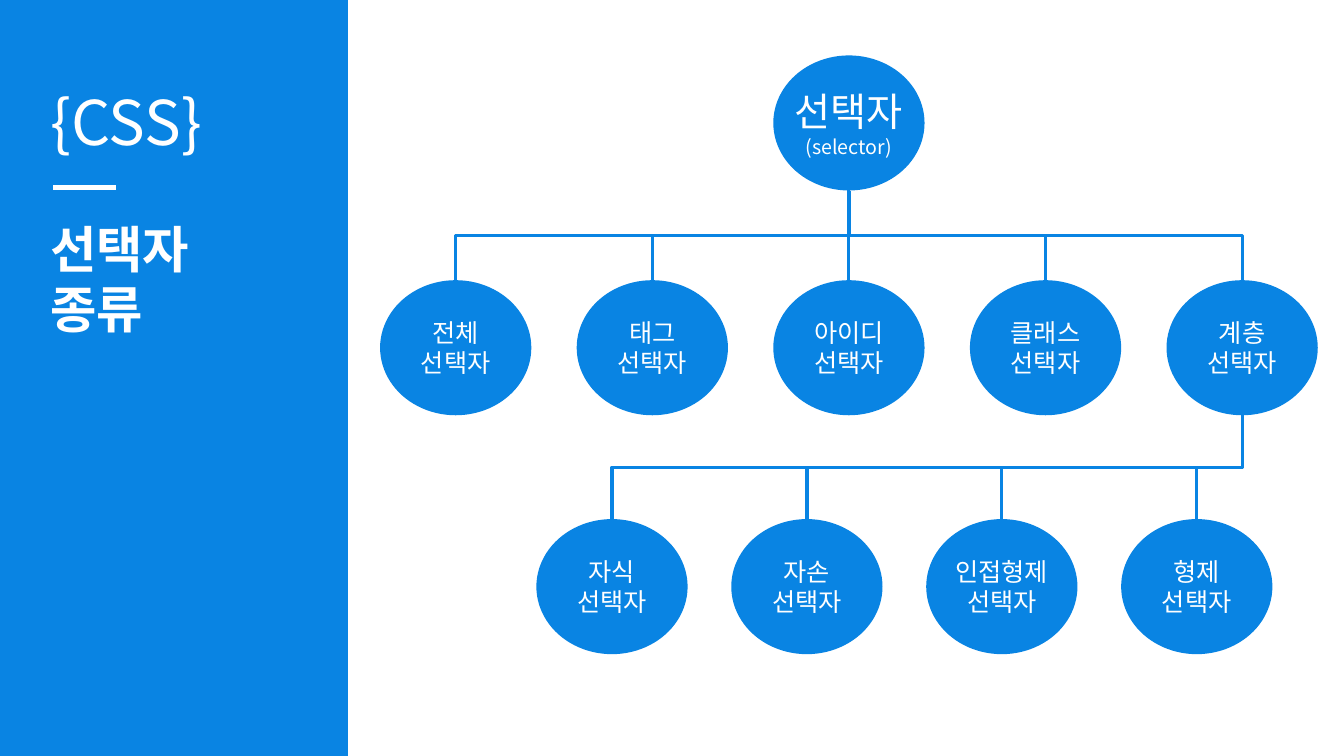
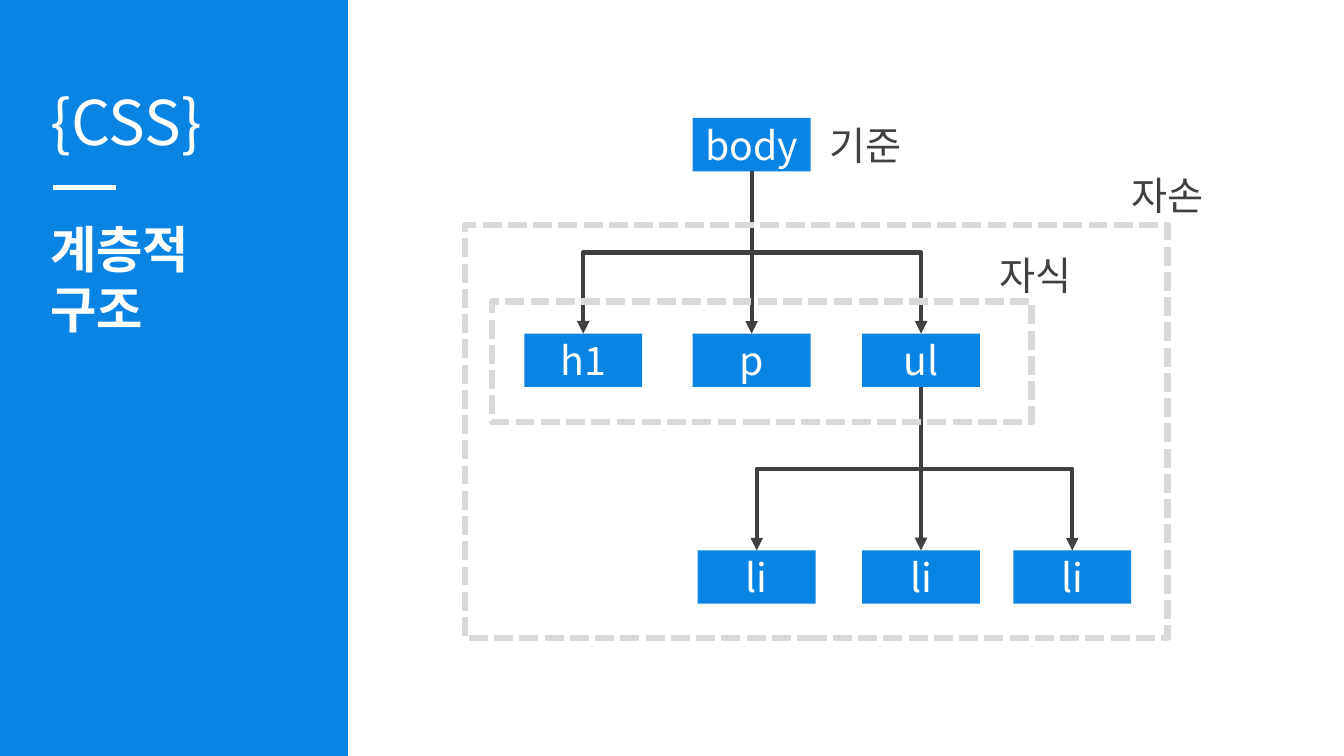
"""Builds two slides on CSS selectors: the kinds of selector and the element hierarchy."""

from dataclasses import dataclass

from lxml import etree
from pptx import Presentation
from pptx.dml.color import RGBColor
from pptx.enum.dml import MSO_LINE
from pptx.enum.shapes import MSO_CONNECTOR, MSO_SHAPE
from pptx.enum.text import MSO_ANCHOR, PP_ALIGN
from pptx.oxml.ns import qn
from pptx.presentation import Presentation as Deck
from pptx.shapes.autoshape import Shape
from pptx.shapes.connector import Connector
from pptx.slide import Slide
from pptx.util import Inches, Pt

RECTANGLE, OVAL = MSO_SHAPE.RECTANGLE, MSO_SHAPE.OVAL
STRAIGHT, ELBOW = MSO_CONNECTOR.STRAIGHT, MSO_CONNECTOR.ELBOW
LEFT, CENTER = PP_ALIGN.LEFT, PP_ALIGN.CENTER
TOP, MIDDLE = MSO_ANCHOR.TOP, MSO_ANCHOR.MIDDLE
DASHED = MSO_LINE.SQUARE_DOT
QUARTER_TURN = 90 * 60000


@dataclass(frozen=True)
class Theme:
    font: str = "Noto Sans CJK KR"
    blue: RGBColor = RGBColor(0x09, 0x84, 0xE3)
    white: RGBColor = RGBColor(0xFF, 0xFF, 0xFF)
    dark: RGBColor = RGBColor(0x40, 0x40, 0x40)
    gray: RGBColor = RGBColor(0xD9, 0xD9, 0xD9)
    brand_size: float = 44
    title_size: float = 36
    large_size: float = 28
    circle_size: float = 18
    small_size: float = 14
    branch_width: float = 2.25
    line_width: float = 3
    frame_width: float = 4.5


@dataclass(frozen=True)
class Area:
    left: float
    top: float
    width: float
    height: float

    @property
    def center(self) -> float:
        return self.left + self.width / 2

    @property
    def bottom(self) -> float:
        return self.top + self.height


@dataclass(frozen=True)
class Line:
    text: str
    size: float
    color: RGBColor
    bold: bool = False


@dataclass(frozen=True)
class Stroke:
    color: RGBColor
    width: float
    arrow: bool = False


THEME = Theme()
BRANCH = Stroke(THEME.blue, THEME.branch_width)
ARROW = Stroke(THEME.dark, THEME.line_width, arrow=True)
RULE = Stroke(THEME.white, THEME.line_width)

CIRCLE_WIDTH, CIRCLE_HEIGHT = 1.5, 1.34
TAG_WIDTH, TAG_HEIGHT = 1.17, 0.53
LABEL_WIDTH, LABEL_HEIGHT = 1.08, 0.57

SELECTORS = ("전체", "태그", "아이디", "클래스", "계층")
HIERARCHY_SELECTORS = ("자식", "자손", "인접형제", "형제")
CHILD_TAGS = (("h1", 5.2), ("p", 6.87), ("ul", 8.55))
ITEM_LEFTS = (6.92, 8.55, 10.05)
FRAMES = (Area(4.88, 2.99, 5.35, 1.2), Area(4.61, 2.23, 6.97, 4.1))
LABELS = (("자식", 9.73, 2.44), ("자손", 11.04, 1.65), ("기준", 8.04, 1.15))


def spread(first: float, last: float, count: int) -> list[float]:
    return [first + (last - first) * index / (count - 1) for index in range(count)]


def write_lines(box: Shape, lines: list[Line], align: PP_ALIGN, anchor: MSO_ANCHOR, wrap: bool) -> None:
    frame = box.text_frame
    frame.word_wrap = wrap
    frame.vertical_anchor = anchor
    for index, line in enumerate(lines):
        paragraph = frame.add_paragraph() if index else frame.paragraphs[0]
        paragraph.text = line.text
        paragraph.alignment = align
        font = paragraph.font
        font.name = THEME.font
        font.size = Pt(line.size)
        font.bold = line.bold
        font.color.rgb = line.color
        east_asian = etree.SubElement(font._element, qn("a:ea"))
        east_asian.set("typeface", THEME.font)


def add_block(page: Slide, preset: MSO_SHAPE, area: Area) -> Shape:
    block = page.shapes.add_shape(
        preset, Inches(area.left), Inches(area.top), Inches(area.width), Inches(area.height)
    )
    block.shadow.inherit = False
    block.fill.solid()
    block.fill.fore_color.rgb = THEME.blue
    block.line.fill.background()
    return block


def add_text(page: Slide, area: Area, lines: list[Line], align: PP_ALIGN = LEFT) -> None:
    box = page.shapes.add_textbox(
        Inches(area.left), Inches(area.top), Inches(area.width), Inches(area.height)
    )
    write_lines(box, lines, align, TOP, wrap=True)


def add_circle(page: Slide, left: float, top: float, lines: list[Line]) -> Area:
    area = Area(left, top, CIRCLE_WIDTH, CIRCLE_HEIGHT)
    write_lines(add_block(page, OVAL, area), lines, CENTER, MIDDLE, wrap=False)
    return area


def add_selector(page: Slide, name: str, left: float, top: float) -> Area:
    lines = [Line(text, THEME.circle_size, THEME.white) for text in (name, "선택자")]
    return add_circle(page, left, top, lines)


def add_tag(page: Slide, name: str, left: float, top: float) -> Area:
    area = Area(left, top, TAG_WIDTH, TAG_HEIGHT)
    lines = [Line(name, THEME.large_size, THEME.white)]
    write_lines(add_block(page, RECTANGLE, area), lines, CENTER, MIDDLE, wrap=True)
    return area


def add_frame(page: Slide, area: Area) -> None:
    frame = add_block(page, RECTANGLE, area)
    frame.fill.background()
    frame.line.color.rgb = THEME.gray
    frame.line.width = Pt(THEME.frame_width)
    frame.line.dash_style = DASHED


def style_connector(connector: Connector, stroke: Stroke) -> None:
    connector.line.color.rgb = stroke.color
    connector.line.width = Pt(stroke.width)
    if stroke.arrow:
        tail = etree.SubElement(connector.line._get_or_add_ln(), qn("a:tailEnd"))
        tail.set("type", "triangle")
    etree.SubElement(connector._element.spPr, qn("a:effectLst"))


def add_straight(
    page: Slide, start_x: float, start_y: float, end_x: float, end_y: float, stroke: Stroke
) -> None:
    connector = page.shapes.add_connector(
        STRAIGHT, Inches(start_x), Inches(start_y), Inches(end_x), Inches(end_y)
    )
    style_connector(connector, stroke)


def add_elbow(page: Slide, parent: Area, child: Area, stroke: Stroke) -> None:
    drop = child.top - parent.bottom
    reach = abs(child.center - parent.center)
    left = (parent.center + child.center - drop) / 2
    top = (parent.bottom + child.top - reach) / 2
    connector = page.shapes.add_connector(
        ELBOW, Inches(left), Inches(top), Inches(left + drop), Inches(top + reach)
    )
    transform = connector._element.spPr.xfrm
    if child.center > parent.center:
        transform.set("rot", str(3 * QUARTER_TURN))
        transform.set("flipH", "1")
    else:
        transform.set("rot", str(QUARTER_TURN))
    style_connector(connector, stroke)


def link_children(page: Slide, parent: Area, children: list[Area], stroke: Stroke) -> None:
    for child in children:
        if abs(child.center - parent.center) < 0.01:
            add_straight(page, parent.center, parent.bottom, parent.center, child.top, stroke)
        else:
            add_elbow(page, parent, child, stroke)


def add_page(deck: Deck, title: tuple[str, ...]) -> Slide:
    page = deck.slides.add_slide(deck.slide_layouts[6])
    add_block(page, RECTANGLE, Area(0, 0, 3.45, 7.5))
    add_straight(page, 0.53, 1.86, 1.15, 1.86, RULE)
    add_text(page, Area(0.4, 0.78, 2.8, 0.84), [Line("{CSS}", THEME.brand_size, THEME.white)])
    lines = [Line(text, THEME.title_size, THEME.white, bold=True) for text in title]
    add_text(page, Area(0.4, 2.11, 2.8, 1.31), lines)
    return page


def build_selector_kinds(deck: Deck) -> None:
    page = add_page(deck, ("선택자", "종류"))
    root = add_circle(page, 7.67, 0.55, [
        Line("선택자", THEME.large_size, THEME.white),
        Line("(selector)", THEME.small_size, THEME.white),
    ])
    kinds = [
        add_selector(page, name, left, 2.78)
        for name, left in zip(SELECTORS, spread(3.77, 11.57, len(SELECTORS)))
    ]
    hierarchy = [
        add_selector(page, name, left, 5.15)
        for name, left in zip(HIERARCHY_SELECTORS, spread(5.32, 11.12, len(HIERARCHY_SELECTORS)))
    ]
    link_children(page, root, kinds, BRANCH)
    link_children(page, kinds[-1], hierarchy, BRANCH)


def build_hierarchy(deck: Deck) -> None:
    page = add_page(deck, ("계층적", "구조"))
    body = add_tag(page, "body", 6.87, 1.17)
    children = [add_tag(page, name, left, 3.31) for name, left in CHILD_TAGS]
    items = [add_tag(page, "li", left, 5.46) for left in ITEM_LEFTS]
    link_children(page, body, children, ARROW)
    link_children(page, children[-1], items, ARROW)
    for area in FRAMES:
        add_frame(page, area)
    for text, left, top in LABELS:
        label = Line(text, THEME.large_size, THEME.dark)
        add_text(page, Area(left, top, LABEL_WIDTH, LABEL_HEIGHT), [label], CENTER)


def main() -> None:
    deck = Presentation()
    deck.slide_width = Inches(13.33)
    deck.slide_height = Inches(7.5)
    build_selector_kinds(deck)
    build_hierarchy(deck)
    deck.save("out.pptx")


if __name__ == "__main__":
    main()
